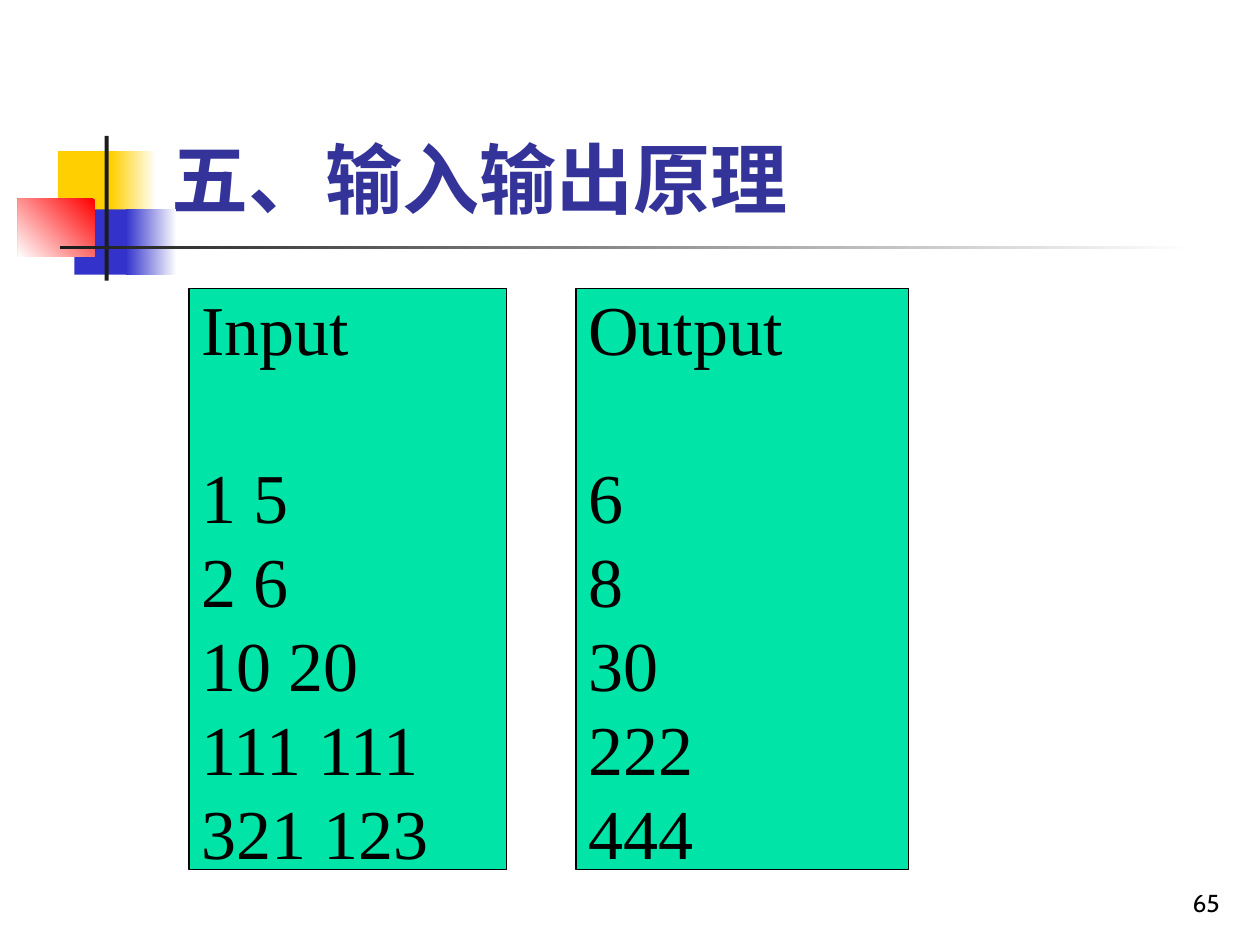
import pptx
import pptx.dml.color
import pptx.enum.shapes
import pptx.enum.text
import pptx.util

Cm = pptx.util.Cm
Pt = pptx.util.Pt
ALIGN = pptx.enum.text.PP_ALIGN
ANCHOR = pptx.enum.text.MSO_ANCHOR

THEME = {
    "yellow": "FFCF01", "blue": "3333CC", "red": "FF0000", "dark": "1C1C1C",
    "white": "FFFFFF", "title": "333399", "panel": "00E4A8", "text": "000000",
    "heading_font": "Cabin", "body_font": "Times New Roman",
    "title_size": 44, "body_size": 40, "number_size": 14, "line_pitch": 48,
}

TITLE = "五、输入输出原理"
PAGE_NUMBER = "65"

# left, top, width, height in cm; colours; clockwise gradient angle
ORNAMENTS = [
    ((1.17, 3.05, 1.22, 1.32), ["yellow"], None),
    ((2.24, 3.05, 0.91, 1.32), ["white", "yellow"], 180),
    ((1.5, 4.22, 1.17, 1.32), ["blue"], None),
    ((2.54, 4.22, 1.02, 1.32), ["white", "blue"], 180),
    ((0.36, 4.01, 1.55, 1.17), ["red", "white"], 135),
    ((2.11, 2.74, 0.08, 2.92), ["dark"], None),
    ((1.22, 4.95, 22.86, 0.08), ["white", "dark"], 180),
]

PANEL_TOP, PANEL_HEIGHT = 5.82, 11.71
PANELS = [
    {"left": 3.81, "width": 6.4, "heading": "Input",
     "rows": ["1 5", "2 6", "10 20", "111 111", "321 123"]},
    {"left": 11.61, "width": 6.71, "heading": "Output",
     "rows": ["6", "8", "30", "222", "444"]},
]


def color(name):
    return pptx.dml.color.RGBColor.from_string(THEME[name])


def set_values(target, values):
    for name, value in values.items():
        setattr(target, name, value)


def place(shape, box):
    names = ("left", "top", "width", "height")
    set_values(shape, {name: Cm(value) for name, value in zip(names, box)})


def add_rectangle(slide, box):
    shape = slide.shapes.add_shape(
        pptx.enum.shapes.MSO_SHAPE.RECTANGLE, *map(Cm, box))
    shape.shadow.inherit = False
    return shape


def add_ornament(slide, box, colors, angle):
    shape = add_rectangle(slide, box)
    shape.line.fill.background()
    if angle is None:
        shape.fill.solid()
        shape.fill.fore_color.rgb = color(colors[0])
        return
    shape.fill.gradient()
    shape.fill.gradient_angle = 360 - angle
    for stop, name in zip(shape.fill.gradient_stops, colors):
        stop.color.rgb = color(name)


def write_text(shape, lines, font, size, ink, anchor, alignment=ALIGN.LEFT,
               bold=False, wrap=True):
    frame = shape.text_frame
    frame.text = "\n".join(lines)
    set_values(frame, {
        "word_wrap": wrap, "vertical_anchor": anchor,
        "auto_size": pptx.enum.text.MSO_AUTO_SIZE.NONE,
    })
    for paragraph in frame.paragraphs:
        paragraph.alignment = alignment
        set_values(paragraph.font, {
            "name": THEME[font], "size": Pt(THEME[size]), "bold": bold})
        paragraph.font.color.rgb = color(ink)
    return frame.paragraphs


def add_panel(slide, panel):
    shape = add_rectangle(
        slide, (panel["left"], PANEL_TOP, panel["width"], PANEL_HEIGHT))
    shape.fill.solid()
    shape.fill.fore_color.rgb = color("panel")
    shape.line.color.rgb = color("text")
    shape.line.width = Pt(0.75)
    paragraphs = write_text(
        shape, [panel["heading"], *panel["rows"]], "body_font", "body_size",
        "text", ANCHOR.MIDDLE, wrap=False)
    pitch = Pt(THEME["line_pitch"])
    for paragraph in paragraphs:
        paragraph.line_spacing = pitch
    paragraphs[1].space_before = pitch


def main():
    presentation = pptx.Presentation()
    set_values(presentation, {"slide_width": Cm(25.4), "slide_height": Cm(19.05)})
    slide = presentation.slides.add_slide(
        presentation.slide_layouts.get_by_name("Title Only"))

    for ornament in ORNAMENTS:
        add_ornament(slide, *ornament)

    title = slide.shapes.title
    place(title, (3.2, 0.58, 21.64, 4.06))
    write_text(title, [TITLE], "heading_font", "title_size", "title",
               ANCHOR.BOTTOM, bold=True)

    for panel in PANELS:
        add_panel(slide, panel)

    number = slide.shapes.add_textbox(Cm(19.56), Cm(17.35), Cm(5.28), Cm(1.27))
    write_text(number, [PAGE_NUMBER], "heading_font", "number_size", "text",
               ANCHOR.BOTTOM, ALIGN.RIGHT)

    presentation.save("out.pptx")


if __name__ == "__main__":
    main()
